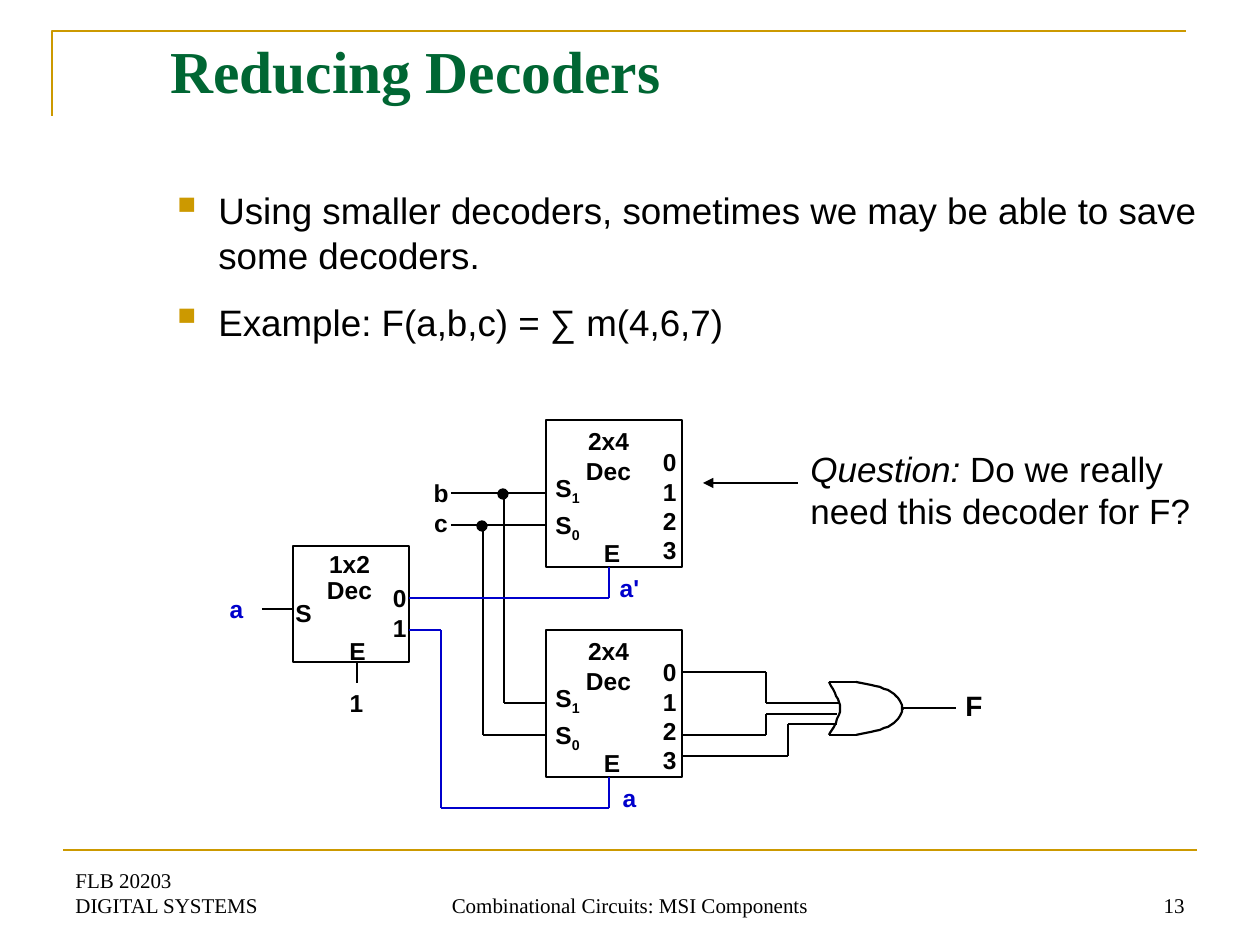
from lxml import etree
from pptx import Presentation
from pptx.dml.color import RGBColor
from pptx.enum.shapes import MSO_CONNECTOR, MSO_SHAPE as SHAPE
from pptx.enum.text import MSO_ANCHOR as ANCHOR, PP_ALIGN as ALIGN
from pptx.oxml.ns import qn
from pptx.util import Pt

PX = 914400 / 126
COLORS = {"ink": "000000", "gold": "CC9900", "green": "006633", "blue": "0000CC"}
TITLE = {"name": "Times New Roman", "size": Pt(34), "bold": True}
FOOTER = {"name": "Times New Roman", "size": Pt(12)}
BODY = {"name": "Arial", "size": Pt(21)}
NOTE = {"name": "Arial", "size": Pt(20)}
LABEL = {"name": "Arial", "size": Pt(14), "bold": True}
OUTPUT = {**LABEL, "size": Pt(16)}


def emu(px):
    return round(px * PX)


def rgb(name):
    return RGBColor.from_string(COLORS[name])


def bezier(start, *controls, steps=8):
    """Points of a chain of cubic curves, three controls to each curve."""
    points = [start]
    for i in range(0, len(controls), 3):
        corners = (points[-1], *controls[i:i + 3])
        for t in (k / steps for k in range(1, steps + 1)):
            weights = ((1 - t) ** 3, 3 * t * (1 - t) ** 2, 3 * t * t * (1 - t), t ** 3)
            points.append(tuple(sum(w * c[axis] for w, c in zip(weights, corners))
                                for axis in (0, 1)))
    return points


class Slide:
    def __init__(self, prs):
        self.s = prs.slides.add_slide(prs.slide_layouts[6])

    def line_style(self, sp, color, width):
        sp.line.color.rgb = rgb(color)
        sp.line.width = Pt(width)

    def wire(self, *points, color="ink", width=1.25, arrow=False):
        """Straight connectors through the points, with an optional arrowhead."""
        for start, end in zip(points, points[1:]):
            c = self.s.shapes.add_connector(
                MSO_CONNECTOR.STRAIGHT, *map(emu, (*start, *end)))
            self.line_style(c, color, width)
            if arrow:
                etree.SubElement(c.line._get_or_add_ln(), qn("a:tailEnd"), type="triangle")
            etree.SubElement(c._element.spPr, qn("a:effectLst"))

    def outline(self, points, color="ink", width=1.25):
        builder = self.s.shapes.build_freeform(*points[0], scale=PX)
        builder.add_line_segments(points[1:], close=False)
        sp = builder.convert_to_shape()
        sp.shadow.inherit = False
        sp.fill.background()
        self.line_style(sp, color, width)

    def shape(self, kind, x, y, w, h, width, fill=None):
        sp = self.s.shapes.add_shape(kind, *map(emu, (x, y, w, h)))
        sp.shadow.inherit = False
        if fill:
            sp.fill.solid()
            sp.fill.fore_color.rgb = rgb(fill)
        else:
            sp.fill.background()
        self.line_style(sp, "ink", width)

    def text(self, x, y, w, h, paragraphs, font=LABEL, color="ink", align=ALIGN.CENTER,
             anchor=ANCHOR.TOP, gap=0, spacing=None, bullet=None):
        """Each paragraph is a string or a list of (text, font changes)."""
        tf = self.s.shapes.add_textbox(*map(emu, (x, y, w, h))).text_frame
        tf.word_wrap = True
        tf.vertical_anchor = anchor
        for i, runs in enumerate(paragraphs):
            p = tf.add_paragraph() if i else tf.paragraphs[0]
            if bullet:
                self.bullet(p, bullet)
            p.alignment = align
            if spacing:
                p.line_spacing = spacing
            if i and gap:
                p.space_before = Pt(gap)
            for words, changes in [(runs, {})] if isinstance(runs, str) else runs:
                r = p.add_run()
                r.text = words
                r.font.color.rgb = rgb(color)
                for key, value in {**font, **changes}.items():
                    if key == "baseline":
                        r.font._element.set(key, value)
                    else:
                        setattr(r.font, key, value)

    def bullet(self, p, char):
        pPr = p._p.get_or_add_pPr()
        pPr.set("marL", str(emu(48)))
        pPr.set("indent", str(emu(-48)))
        clr = etree.SubElement(pPr, qn("a:buClr"))
        etree.SubElement(clr, qn("a:srgbClr"), val=COLORS["gold"])
        etree.SubElement(pPr, qn("a:buSzPct"), val="120000")
        etree.SubElement(pPr, qn("a:buChar"), char=char)

    def big_decoder(self, y):
        self.shape(SHAPE.RECTANGLE, 546, y, 136, 147, 1.5)
        self.text(556, y, 105, 72, ["2x4", "Dec"])
        selects = [[("S", {}), (n, {"baseline": "-25000"})] for n in "10"]
        self.text(543, y + 47, 58, 83, selects, align=ALIGN.LEFT, gap=1.8)
        self.text(636, y + 21, 53, 131, list("0123"), align=ALIGN.RIGHT)
        self.text(591, y + 112, 42, 43, ["E"])

    def small_decoder(self, x, y):
        self.shape(SHAPE.RECTANGLE, x, y, 116, 116, 1.5)
        self.text(x + 4, y, 105, 66, ["1x2", "Dec"], spacing=0.9)
        self.text(x - 10, y + 46, 59, 43, ["S"], align=ALIGN.LEFT)
        self.text(x + 73, y + 31, 53, 72, list("01"), align=ALIGN.RIGHT)
        self.text(x + 42, y + 84, 45, 43, ["E"])

    def or_gate(self, x, top, bottom):
        self.outline(bezier((x, top), (x + 5, top + 10), (x + 11, top + 18), (x + 11, top + 26),
                            (x + 11, top + 35), (x + 3, bottom - 4), (x, bottom)))
        nose = bezier((x + 27, top), (x + 40, top + 3), (x + 54, top + 5), (x + 62, top + 10),
                      (x + 71, top + 15), (x + 72, top + 22), (x + 74, top + 28))
        for half in (nose, [(px, top + bottom - py) for px, py in nose]):
            self.wire((x, half[0][1]), half[0])
            self.outline(half)


def main():
    prs = Presentation()
    prs.slide_width, prs.slide_height = emu(1260), emu(945)
    s = Slide(prs)

    s.outline([(52, 116), (52, 31), (1186, 31)], "gold", 1.5)
    s.wire((63, 850), (1197, 850), color="gold", width=1.5)
    for x, w, lines, align in ((63, 294, ["FLB 20203", "DIGITAL SYSTEMS"], ALIGN.LEFT),
                               (430, 400, ["Combinational Circuits: MSI Components"], ALIGN.CENTER),
                               (903, 294, ["13"], ALIGN.RIGHT)):
        s.text(x, 861, w, 63, lines, FOOTER, align=align, anchor=ANCHOR.BOTTOM)
    s.text(158, 28, 1071, 150, ["Reducing Decoders"], TITLE, "green", ALIGN.LEFT)
    s.text(158, 182, 1061, 210,
           ["Using smaller decoders, sometimes we may be able to save some decoders.",
            "Example: F(a,b,c) = ∑ m(4,6,7)"],
           BODY, align=ALIGN.LEFT, gap=13.1, bullet="▪")

    s.or_gate(829, 682, 735)
    s.wire((682, 672), (766, 672), (766, 703), (840, 703))
    s.wire((682, 735), (766, 735), (766, 714), (837, 714))
    s.wire((682, 756), (788, 756), (788, 724), (837, 724))
    s.wire((903, 708), (956, 708))
    s.text(953, 682, 42, 47, ["F"], OUTPUT, align=ALIGN.LEFT)

    for y in (420, 630):
        s.big_decoder(y)
    s.small_decoder(293, 546)

    for x, y in ((504, 493), (483, 525)):
        s.wire((451, y), (546, y))
        s.wire((x, y), (x, y + 210), (546, y + 210))
        s.shape(SHAPE.OVAL, x - 6, y - 4, 10, 10, 0.75, "ink")
    s.wire((262, 609), (293, 609))
    s.wire((357, 662), (357, 683), width=0.75)
    s.wire((409, 598), (609, 598), (609, 567), color="blue")
    s.wire((409, 630), (441, 630), (441, 808), (609, 808), (609, 777), color="blue")

    s.text(420, 472, 42, 72, ["b", "c"])
    s.text(325, 682, 63, 43, ["1"])
    for x, y, w, name in ((598, 567, 63, "a'"), (598, 777, 63, "a"), (210, 588, 53, "a")):
        s.text(x, y, w, 43, [name], color="blue")

    s.text(798, 441, 431, 97, [[("Question:", {"italic": True}),
                                (" Do we really need this decoder for F?", {})]],
           NOTE, align=ALIGN.LEFT)
    s.wire((798, 483), (703, 483), width=0.75, arrow=True)
    prs.save("out.pptx")


if __name__ == "__main__":
    main()
